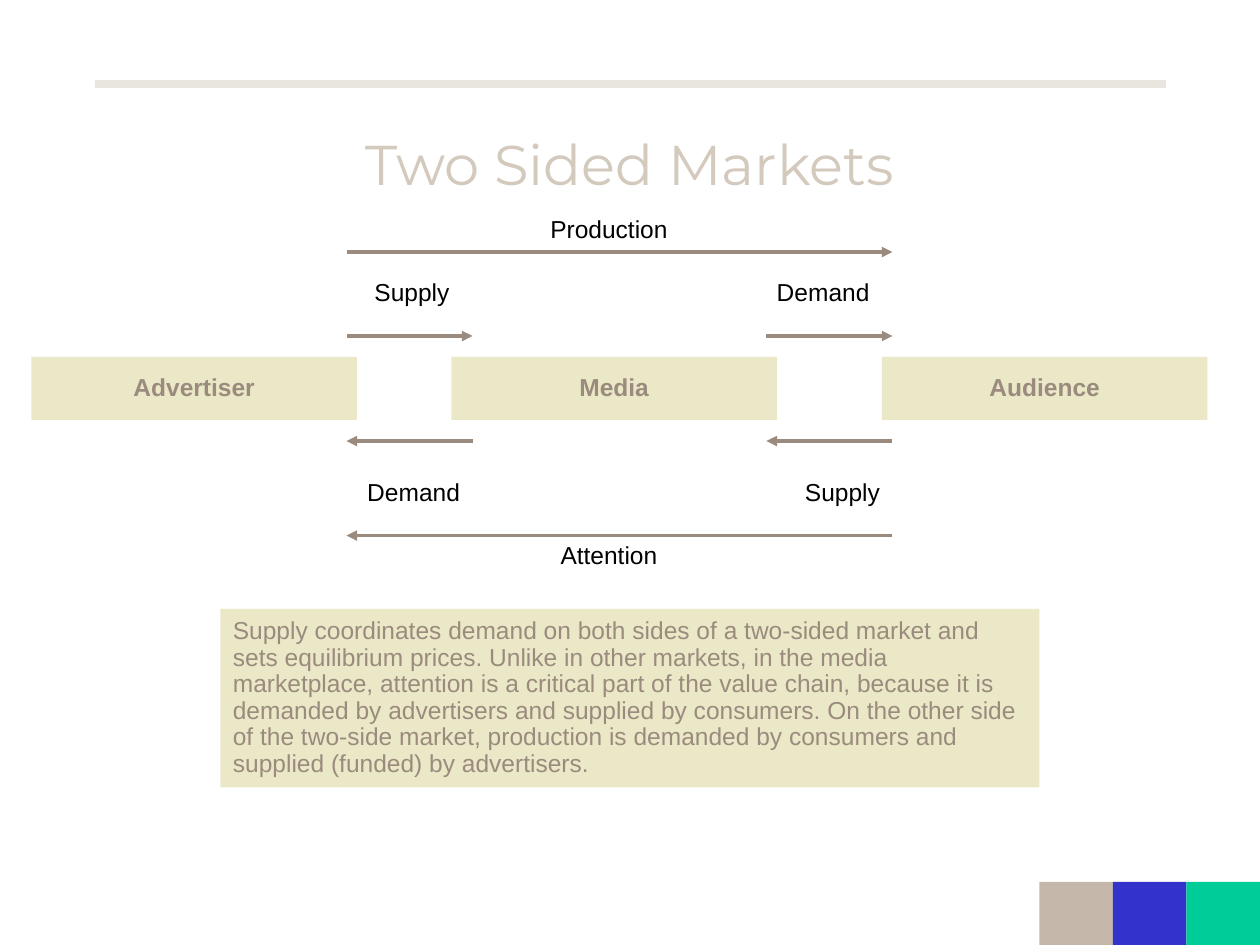
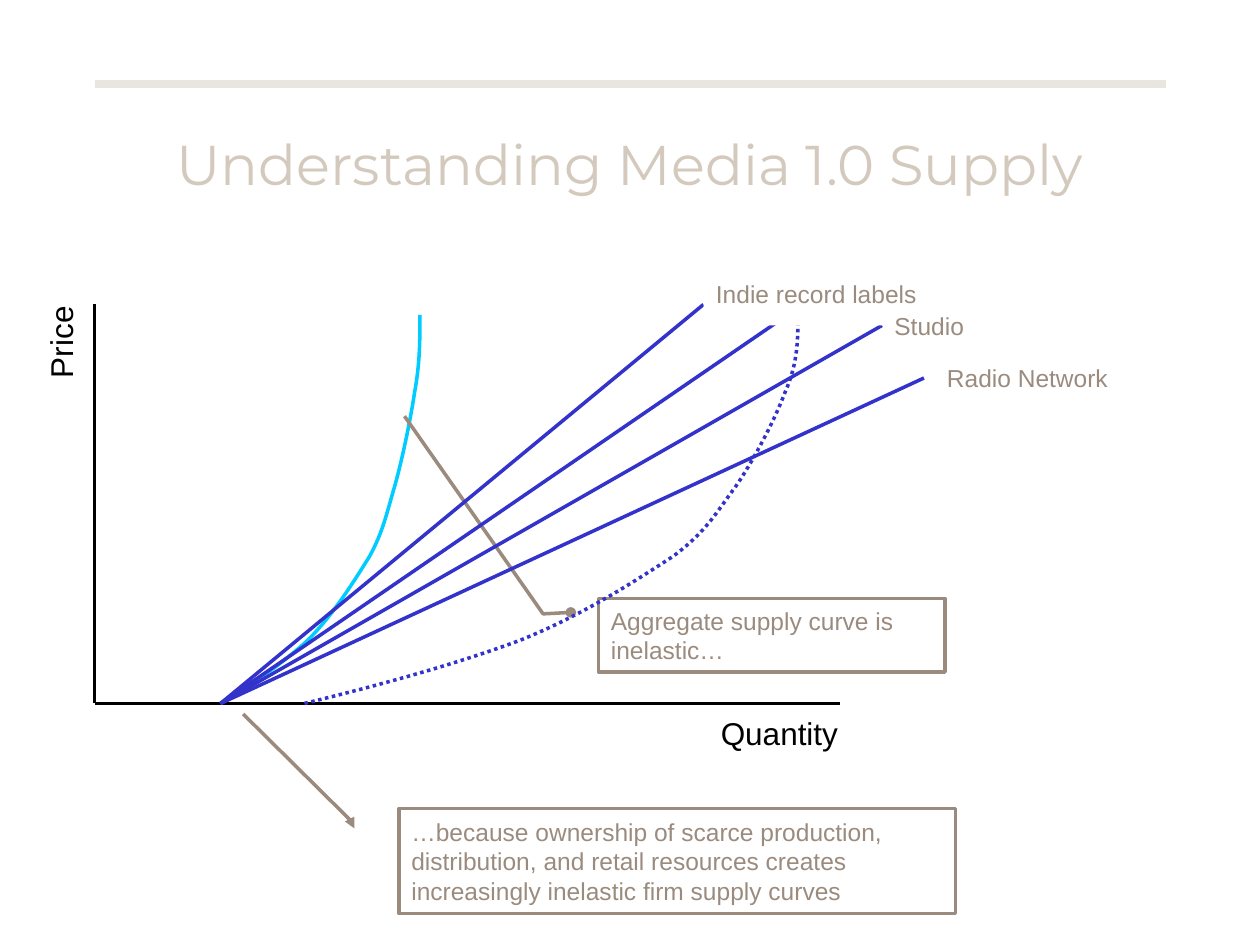
from dataclasses import dataclass
from typing import NamedTuple

from pptx import Presentation
from pptx.dml.color import RGBColor
from pptx.enum.dml import MSO_LINE
from pptx.enum.shapes import MSO_CONNECTOR, MSO_SHAPE
from pptx.enum.text import MSO_ANCHOR, PP_ALIGN
from pptx.oxml.xmlchemy import OxmlElement
from pptx.shapes.autoshape import Shape
from pptx.slide import Slide
from pptx.util import Pt

SCALE = 7620


@dataclass(frozen=True)
class Theme:
    black: str = "000000"
    white: str = "FFFFFF"
    rule: str = "E9E5DF"
    title: str = "D3C9BD"
    brown: str = "9A8B7E"
    cream: str = "EAE8C6"
    tan: str = "C5B8AB"
    blue: str = "3333CC"
    green: str = "00CC99"
    aqua: str = "00CCFF"
    head: str = "Montserrat"
    body: str = "Arial"
    large: int = 32
    mid: int = 18
    small: int = 14
    thin: float = 2
    thick: float = 4.5


THEME = Theme()


class Box(NamedTuple):
    left: int
    top: int
    width: int
    height: int


class Style(NamedTuple):
    size: int = THEME.small
    color: str = THEME.brown
    align: PP_ALIGN = PP_ALIGN.LEFT
    bold: bool = False
    tight: float = 1.0
    wrap: bool = False
    font: str = THEME.body


class Label(NamedTuple):
    text: str
    box: Box
    style: Style
    fill: str | None = None
    turn: int = 0


class Stroke(NamedTuple):
    start: tuple[int, int]
    end: tuple[int, int]
    color: str = THEME.brown
    width: float = THEME.thin
    arrow: bool = False


class Callout(NamedTuple):
    label: Label
    points: tuple[float, ...]
    head: str


class Curve(NamedTuple):
    left: int
    width: int
    color: str
    dotted: bool = False


TITLE = Style(THEME.large, THEME.title, PP_ALIGN.CENTER, wrap=True, font=THEME.head)
PARTY = Style(align=PP_ALIGN.CENTER, bold=True, tight=0.9)
PROSE = Style(tight=0.9, wrap=True)
FLOW = Style(color=THEME.black, align=PP_ALIGN.CENTER, tight=0.9)
SIDE = FLOW._replace(align=PP_ALIGN.RIGHT)
AXIS = SIDE._replace(size=THEME.mid)
NOTE = Style(wrap=True)

PARTIES = [("Advertiser", 30), ("Media", 430), ("Audience", 840)]
FLOWS = [
    Label("Production", Box(450, 200, 260, 40), FLOW),
    Label("Attention", Box(450, 510, 260, 40), FLOW),
    Label("Supply", Box(180, 260, 260, 40), SIDE),
    Label("Demand", Box(580, 260, 260, 40), SIDE),
    Label("Demand", Box(190, 450, 260, 40), SIDE),
    Label("Supply", Box(590, 450, 260, 40), SIDE),
]
SPANS = [(330, 850, 240, 510), (330, 450, 320, 420), (730, 850, 320, 420)]

BASE = 670
ORIGIN = (210, BASE)
RAYS = [(670, 290), (750, 300), (840, 310), (880, 360)]
BEND = [
    (0, 0), (30, 18), (59, 38), (83, 60), (107, 84), (127, 116), (142, 140),
    (155, 164), (158, 180), (166, 207), (173, 232), (181, 270), (185, 297),
    (190, 324), (190, 347), (190, 370),
]
FIRM = Curve(210, 190, THEME.aqua)
TOTAL = Curve(290, 470, THEME.blue, True)
RESULT = Callout(
    Label("Aggregate supply curve is inelastic…", Box(570, 570, 330, 70), NOTE, THEME.white),
    (0.19, -0.08, 0.21, -0.16, -2.48, -0.56),
    "oval",
)
CAUSE = Callout(
    Label(
        "…because ownership of scarce production, distribution, and retail "
        "resources creates increasingly inelastic firm supply curves",
        Box(380, 770, 530, 100),
        NOTE,
    ),
    (0.19, -0.08, 0.15, -0.08, -0.9, -0.28),
    "triangle",
)
TAGS = [
    Label("Radio Network", Box(890, 330, 220, 60), Style(), THEME.white),
    Label("Indie record labels", Box(670, 250, 220, 60), Style(), THEME.white),
    Label("Studio", Box(840, 280, 220, 60), Style()),
    Label("Quantity", Box(550, 670, 260, 60), AXIS),
    Label("Price", Box(-20, 330, 160, 60), AXIS, turn=270),
]


def px(size: int) -> int:
    return size * SCALE


def rgb(color: str) -> RGBColor:
    return RGBColor.from_string(color)


def write(shape: Shape, text: str, style: Style) -> None:
    frame = shape.text_frame
    frame.word_wrap = style.wrap
    frame.vertical_anchor = MSO_ANCHOR.MIDDLE
    para = frame.paragraphs[0]
    para.text = text
    para.alignment = style.align
    para.line_spacing = style.tight
    font = para.font
    font.name, font.size, font.bold = style.font, Pt(style.size), style.bold
    font.color.rgb = rgb(style.color)


def block(slide: Slide, box: Box, fill: str | None, kind=MSO_SHAPE.RECTANGLE) -> Shape:
    shape = slide.shapes.add_shape(kind, *map(px, box))
    shape.shadow.inherit = False
    shape.line.fill.background()
    if fill:
        shape.fill.solid()
        shape.fill.fore_color.rgb = rgb(fill)
    else:
        shape.fill.background()
    return shape


def label(slide: Slide, item: Label) -> None:
    if item.fill:
        shape = block(slide, item.box, item.fill)
    else:
        shape = slide.shapes.add_textbox(*map(px, item.box))
    shape.rotation = item.turn
    write(shape, item.text, item.style)


def ink(line, color: str, width: float = THEME.thin) -> None:
    line.color.rgb = rgb(color)
    line.width = Pt(width)


def tip(shape, tag: str, kind: str) -> None:
    end = OxmlElement(tag)
    end.set("type", kind)
    shape.element.spPr.get_or_add_ln().append(end)


def stroke(slide: Slide, item: Stroke) -> None:
    ends = map(px, item.start + item.end)
    shape = slide.shapes.add_connector(MSO_CONNECTOR.STRAIGHT, *ends)
    ink(shape.line, item.color, item.width)
    if item.arrow:
        tip(shape, "a:tailEnd", "triangle")
    shape.element.spPr.append(OxmlElement("a:effectLst"))


def callout(slide: Slide, item: Callout) -> None:
    note = item.label
    shape = block(slide, note.box, note.fill, MSO_SHAPE.LINE_CALLOUT_2)
    for index, value in enumerate(item.points):
        shape.adjustments[index] = value
    ink(shape.line, THEME.brown)
    tip(shape, "a:headEnd", item.head)
    write(shape, note.text, note.style)


def curve(slide: Slide, item: Curve) -> None:
    ratio = item.width / BEND[-1][0]
    points = [(item.left + round(x * ratio), BASE - y) for x, y in BEND]
    pen = slide.shapes.build_freeform(*points[0], scale=SCALE)
    pen.add_line_segments(points[1:], close=False)
    shape = pen.convert_to_shape()
    shape.shadow.inherit = False
    shape.fill.background()
    ink(shape.line, item.color)
    if item.dotted:
        shape.line.dash_style = MSO_LINE.ROUND_DOT
    steps = shape.element.xpath(".//a:lnTo")
    for first in range(0, len(steps), 3):
        arc = OxmlElement("a:cubicBezTo")
        steps[first].addprevious(arc)
        for step in steps[first:first + 3]:
            arc.append(step[0])
            step.getparent().remove(step)


def start(deck, title: str) -> Slide:
    slide = deck.slides.add_slide(deck.slide_layouts[6])
    stroke(slide, Stroke((90, 80), (1110, 80), THEME.rule, THEME.thick))
    label(slide, Label(title, Box(90, 80, 1020, 150), TITLE))
    return slide


def markets(deck) -> None:
    slide = start(deck, "Two Sided Markets")
    for text, left in PARTIES:
        label(slide, Label(text, Box(left, 340, 310, 60), PARTY, THEME.cream))
    prose = (
        "Supply coordinates demand on both sides of a two-sided market and sets "
        "equilibrium prices. Unlike in other markets, in the media marketplace, "
        "attention is a critical part of the value chain, because it is demanded by "
        "advertisers and supplied by consumers. On the other side of the two-side "
        "market, production is demanded by consumers and supplied (funded) by advertisers."
    )
    label(slide, Label(prose, Box(210, 580, 780, 170), PROSE, THEME.cream))
    for index, color in enumerate((THEME.tan, THEME.blue, THEME.green)):
        block(slide, Box(990 + 70 * index, 840, 70, 60), color)
    for left, right, top, low in SPANS:
        stroke(slide, Stroke((left, top), (right, top), arrow=True))
        stroke(slide, Stroke((right, low), (left, low), arrow=True))
    for item in FLOWS:
        label(slide, item)


def supply(deck) -> None:
    slide = start(deck, "Understanding Media 1.0 Supply")
    corner = (90, BASE)
    for end in ((90, 290), (800, BASE)):
        stroke(slide, Stroke(corner, end, THEME.black))
    curve(slide, FIRM)
    callout(slide, RESULT)
    curve(slide, TOTAL)
    callout(slide, CAUSE)
    for end in RAYS:
        stroke(slide, Stroke(ORIGIN, end, THEME.blue))
    for item in TAGS:
        label(slide, item)


def main() -> None:
    deck = Presentation()
    deck.slide_width, deck.slide_height = px(1200), px(900)
    markets(deck)
    supply(deck)
    deck.save("out.pptx")


if __name__ == "__main__":
    main()
